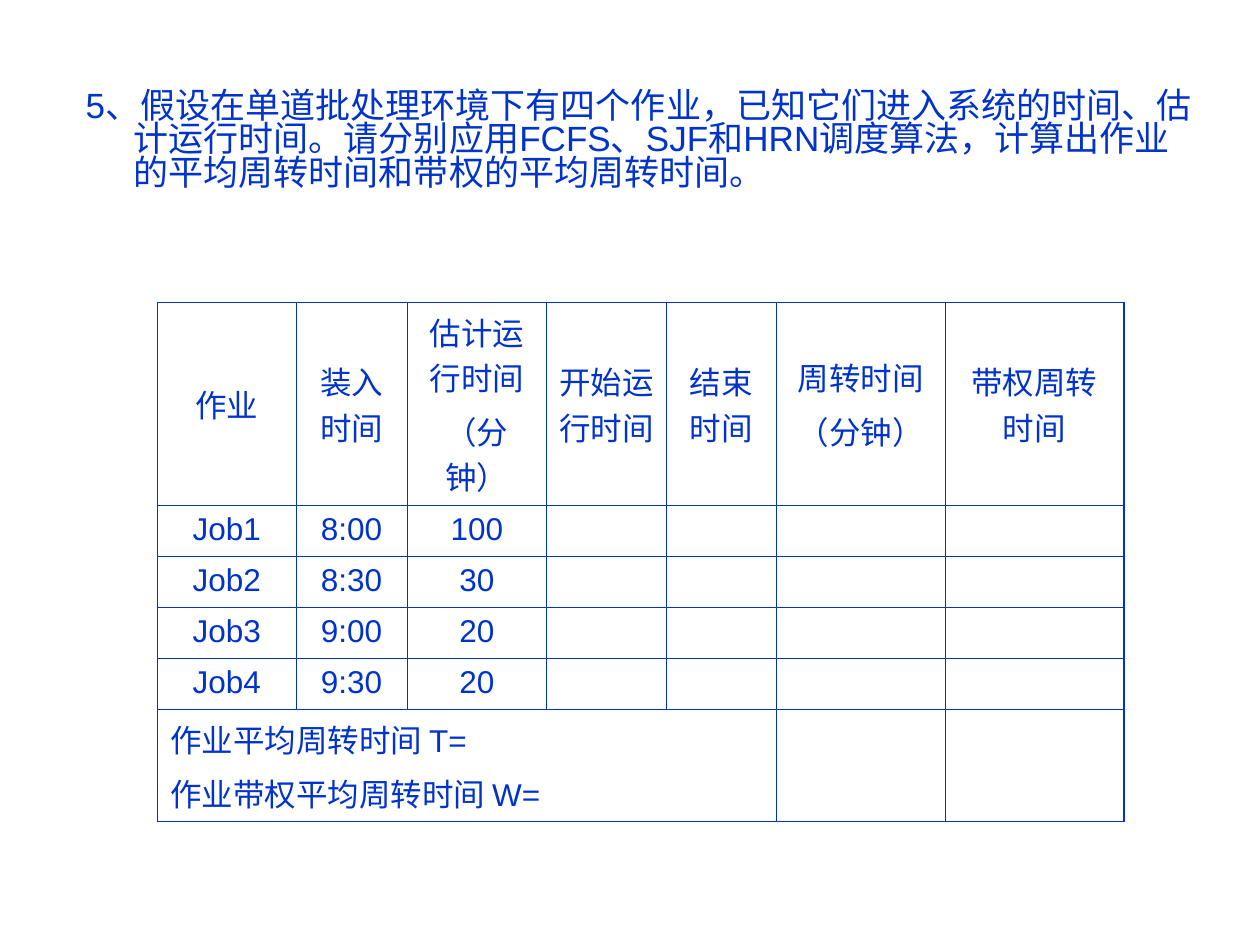
from lxml.etree import SubElement as Sub
from pptx import Presentation
from pptx.dml.color import RGBColor
from pptx.enum.text import MSO_ANCHOR as Anchor, MSO_AUTO_SIZE as Fit, PP_ALIGN as Align
from pptx.oxml.ns import qn
from pptx.util import Inches, Pt

BLUE, FONT = "0033CC", "Arial"
THIN, THICK = 0.45, 1.08

TASK = ("5、假设在单道批处理环境下有四个作业，已知它们进入系统的时间、估计运行时间。"
        "请分别应用FCFS、SJF和HRN调度算法，计算出作业的平均周转时间和带权的平均周转时间。")
HEAD = ["作业", "装入时间", "估计运行时间\n（分钟）", "开始运行时间", "结束时间",
        "周转时间\n（分钟）", "带权周转时间"]
JOBS = [["Job1", "8:00", "100"], ["Job2", "8:30", "30"],
        ["Job3", "9:00", "20"], ["Job4", "9:30", "20"]]
TOTAL = "作业平均周转时间 T=\n作业带权平均周转时间 W="
COLS = [1.1, 0.88, 1.11, 0.95, 0.87, 1.34, 1.42]
ROWS = [1.37] + [0.4] * len(JOBS) + [0.77]


def color(code):
    """Turn a hex string into a colour."""
    return RGBColor.from_string(code)


class Page:
    """Hold the style and the current slide."""

    def __init__(self, deck):
        """Add a slide with one body placeholder."""
        self.wide, self.high = deck.slide_width, deck.slide_height
        self.slide = deck.slides.add_slide(deck.slide_layouts[1])
        title = self.slide.shapes.title
        title.element.getparent().remove(title.element)

    def place(self, x, y, w, h):
        """Turn shares of the slide into lengths."""
        return (int(x * self.wide), int(y * self.high),
                int(w * self.wide), int(h * self.high))

    def fill(self, frame, text, size, align):
        """Fill a frame with styled paragraphs."""
        frame.text = text
        for i, para in enumerate(frame.paragraphs):
            para.alignment = align
            para.space_before = Pt(4.5 if i else 0)
            for run in para.runs:
                run.font.size, run.font.name = Pt(size), FONT
                run.font.color.rgb = color(BLUE)

    def body(self, text, *area):
        """Set the task text with a hanging indent."""
        box = self.slide.placeholders[1]
        box.left, box.top, box.width, box.height = self.place(*area)
        frame = box.text_frame
        frame.word_wrap, frame.auto_size = True, Fit.NONE
        self.fill(frame, text, 20, Align.LEFT)
        para = frame.paragraphs[0]
        para.line_spacing = 0.8
        props = para._p.get_or_add_pPr()
        props.set("marL", str(Inches(0.38)))
        props.set("indent", str(-Inches(0.38)))
        Sub(props, qn("a:buNone"))

    def edge(self, cell, side, width):
        """Draw one border of a cell."""
        line = Sub(cell._tc.get_or_add_tcPr(), qn("a:ln" + side), w=str(Pt(width)))
        Sub(Sub(line, qn("a:solidFill")), qn("a:srgbClr"), val=BLUE)

    def table(self, x, y):
        """Build the job table."""
        rows, cols = len(ROWS), len(COLS)
        area = self.place(x, y, sum(COLS) / 10, sum(ROWS) / 7.5)
        grid = self.slide.shapes.add_table(rows, cols, *area).table
        grid.first_row = grid.horz_banding = False
        for col, width in zip(grid.columns, COLS):
            col.width = Inches(width)
        for row, height in zip(grid.rows, ROWS):
            row.height = Inches(height)
        for r in range(rows):
            for c in range(cols):
                cell = grid.cell(r, c)
                outer = {"L": c == 0, "R": c == cols - 1, "T": r == 0, "B": r == rows - 1}
                for side, out in outer.items():
                    self.edge(cell, side, THICK if out else THIN)
                cell.fill.background()
        for r, row in enumerate([HEAD] + JOBS):
            for c, text in enumerate(row):
                cell = grid.cell(r, c)
                self.fill(cell.text_frame, text, 18, Align.CENTER)
                cell.vertical_anchor = Anchor.TOP if r else Anchor.MIDDLE
        last = grid.cell(rows - 1, 0)
        last.merge(grid.cell(rows - 1, 4))
        self.fill(last.text_frame, TOTAL, 18, Align.LEFT)


def main():
    """Build and save the deck."""
    deck = Presentation()
    deck.slide_width, deck.slide_height = Inches(10), Inches(7.5)
    page = Page(deck)
    page.body(TASK, 0.058, 0.09, 0.9, 0.13)
    page.table(0.125, 0.32)
    deck.save("out.pptx")


if __name__ == "__main__":
    main()
